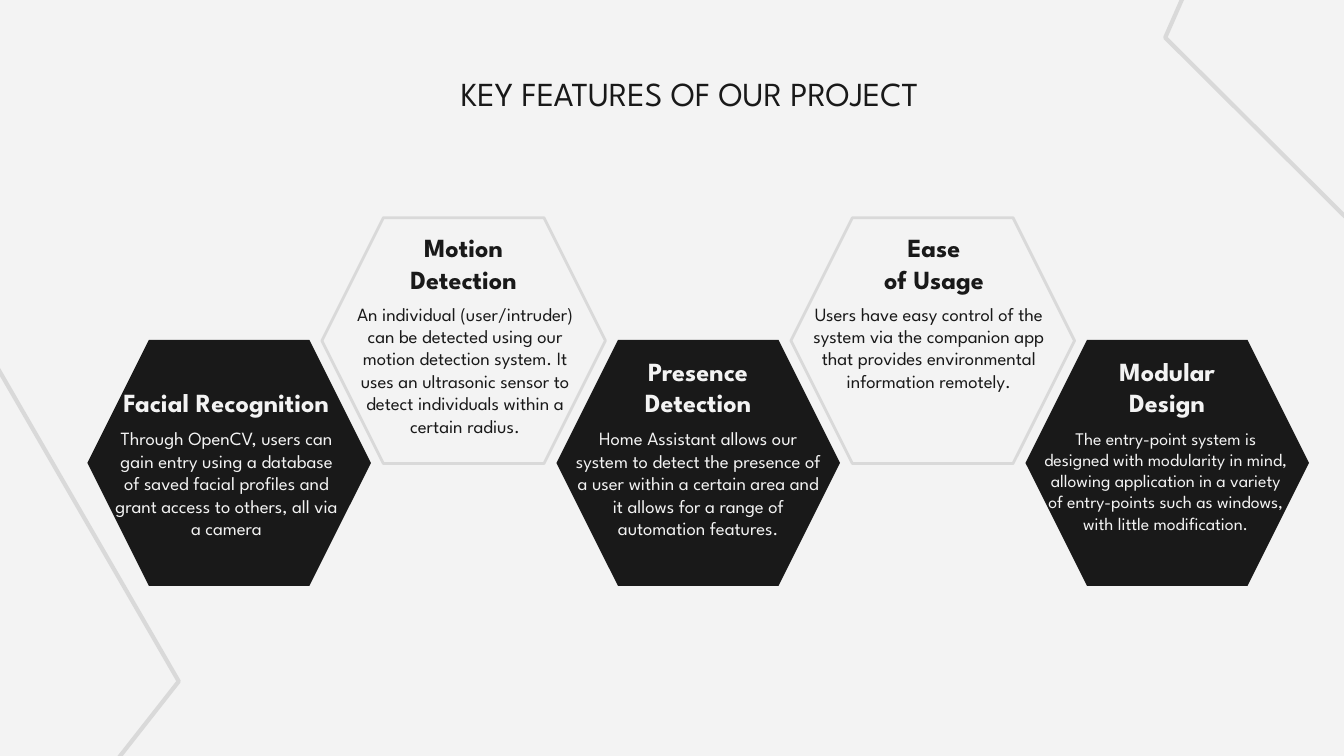
from pptx import Presentation
from pptx.dml.color import RGBColor
from pptx.enum.shapes import MSO_SHAPE
from pptx.enum.text import MSO_ANCHOR, MSO_AUTO_SIZE, PP_ALIGN
from pptx.util import Inches, Pt

HEXAGON = MSO_SHAPE.HEXAGON
TOP, BOTTOM = MSO_ANCHOR.TOP, MSO_ANCHOR.BOTTOM
NO_FIT = MSO_AUTO_SIZE.NONE
CENTER = PP_ALIGN.CENTER

THEME = {
    "font": "League Spartan",
    "paper": RGBColor(0xF3, 0xF3, 0xF3),
    "ink": RGBColor(0x19, 0x19, 0x19),
    "outline": RGBColor(0xD9, 0xD9, 0xD9),
    "title": 18,
    "heading": 14,
    "body": 10,
    "small": 9.5,
}

SLIDE_WIDTH = 10
SLIDE_HEIGHT = SLIDE_WIDTH * 9 / 16
HEXAGON_WIDTH, HEXAGON_HEIGHT = 2.11, 1.83
FIRST_LEFT, LAST_LEFT = 0.65, 7.63
UPPER_ROW, LOWER_ROW = 1.62, 2.53
HEADING_HEIGHT, BODY_HEIGHT = 0.36, 1.06

FEATURES = [
    (["Facial Recognition"], 1.81, -0.02,
     "Through OpenCV, users can gain entry using a database of saved facial profiles "
     "and grant access to others, all via a camera", 1.86, -0.02, "body"),
    (["Motion Detection"], 1.13, 0,
     "An individual (user/intruder) can be detected using our motion detection system. "
     "It uses an ultrasonic sensor to detect individuals within a certain radius.",
     1.96, 0.01, "body"),
    (["Presence Detection"], 1.13, 0,
     "Home Assistant allows our system to detect the presence of a user within a certain "
     "area and it allows for a range of automation features.", 2.03, 0, "body"),
    (["Ease", "of Usage"], 1.51, 0.01,
     "Users have easy control of the system via the companion app that provides "
     "environmental information remotely.", 1.94, -0.03, "body"),
    (["Modular Design"], 1.13, 0,
     "The entry-point system is designed with modularity in mind, allowing application "
     "in a variety of entry-points such as windows, with little modification.",
     2.03, -0.01, "small"),
]

CORNER_LINES = [
    [(-0.19, 2.44), (1.33, 5.07), (0.38, 6.28)],
    [(10.83, 2.43), (8.67, 0.28), (9.29, -1.13)],
]


def write_text(shape, lines, size, color, anchor=TOP, bold=False):
    frame = shape.text_frame
    frame.text = "\n".join(lines)
    frame_format = {"word_wrap": True, "auto_size": NO_FIT, "vertical_anchor": anchor}
    for side in ("left", "top", "right", "bottom"):
        frame_format[f"margin_{side}"] = Inches(0.1)
    for name, value in frame_format.items():
        setattr(frame, name, value)
    font_format = {"name": THEME["font"], "size": Pt(THEME[size]), "bold": bold}
    for paragraph in frame.paragraphs:
        paragraph.alignment = CENTER
        for run in paragraph.runs:
            for name, value in font_format.items():
                setattr(run.font, name, value)
            run.font.color.rgb = THEME[color]


def draw_outline(shape, width):
    shape.shadow.inherit = False
    shape.fill.background()
    shape.line.color.rgb = THEME["outline"]
    shape.line.width = Pt(width)


presentation = Presentation()
presentation.slide_width = Inches(SLIDE_WIDTH)
presentation.slide_height = Inches(SLIDE_HEIGHT)
slide = presentation.slides.add_slide(presentation.slide_layouts[5])
slide.background.fill.solid()
slide.background.fill.fore_color.rgb = THEME["paper"]

title = slide.shapes.title
title_place = {"left": 2.14, "top": 0.44, "width": 5.98, "height": 0.75}
for name, value in title_place.items():
    setattr(title, name, Inches(value))
write_text(title, ["KEY FEATURES OF OUR PROJECT"], "title", "ink")

for line in CORNER_LINES:
    start, *corners = [(Inches(x), Inches(y)) for x, y in line]
    builder = slide.shapes.build_freeform(*start)
    builder.add_line_segments(corners, close=False)
    draw_outline(builder.convert_to_shape(), 2.25)

column_step = (LAST_LEFT - FIRST_LEFT) / (len(FEATURES) - 1)
for column, feature in enumerate(FEATURES):
    heading, heading_width, heading_shift, body, body_width, body_shift, body_size = feature
    dark = column % 2 == 0
    left = FIRST_LEFT + column * column_step
    top = LOWER_ROW if dark else UPPER_ROW
    center = left + HEXAGON_WIDTH / 2
    text_color = "paper" if dark else "ink"
    heading_top = top + (0.32 if dark else 0.31)
    body_top = top + (0.55 if dark else 0.53)

    hexagon = slide.shapes.add_shape(
        HEXAGON, Inches(left), Inches(top), Inches(HEXAGON_WIDTH), Inches(HEXAGON_HEIGHT))
    draw_outline(hexagon, 1.5)
    if dark:
        hexagon.fill.solid()
        hexagon.fill.fore_color.rgb = THEME["ink"]
        hexagon.line.fill.background()

    heading_box = slide.shapes.add_textbox(
        Inches(center + heading_shift - heading_width / 2), Inches(heading_top),
        Inches(heading_width), Inches(HEADING_HEIGHT))
    write_text(heading_box, heading, "heading", text_color, BOTTOM, True)

    body_box = slide.shapes.add_textbox(
        Inches(center + body_shift - body_width / 2), Inches(body_top),
        Inches(body_width), Inches(BODY_HEIGHT))
    write_text(body_box, [body], body_size, text_color)

presentation.save("out.pptx")
